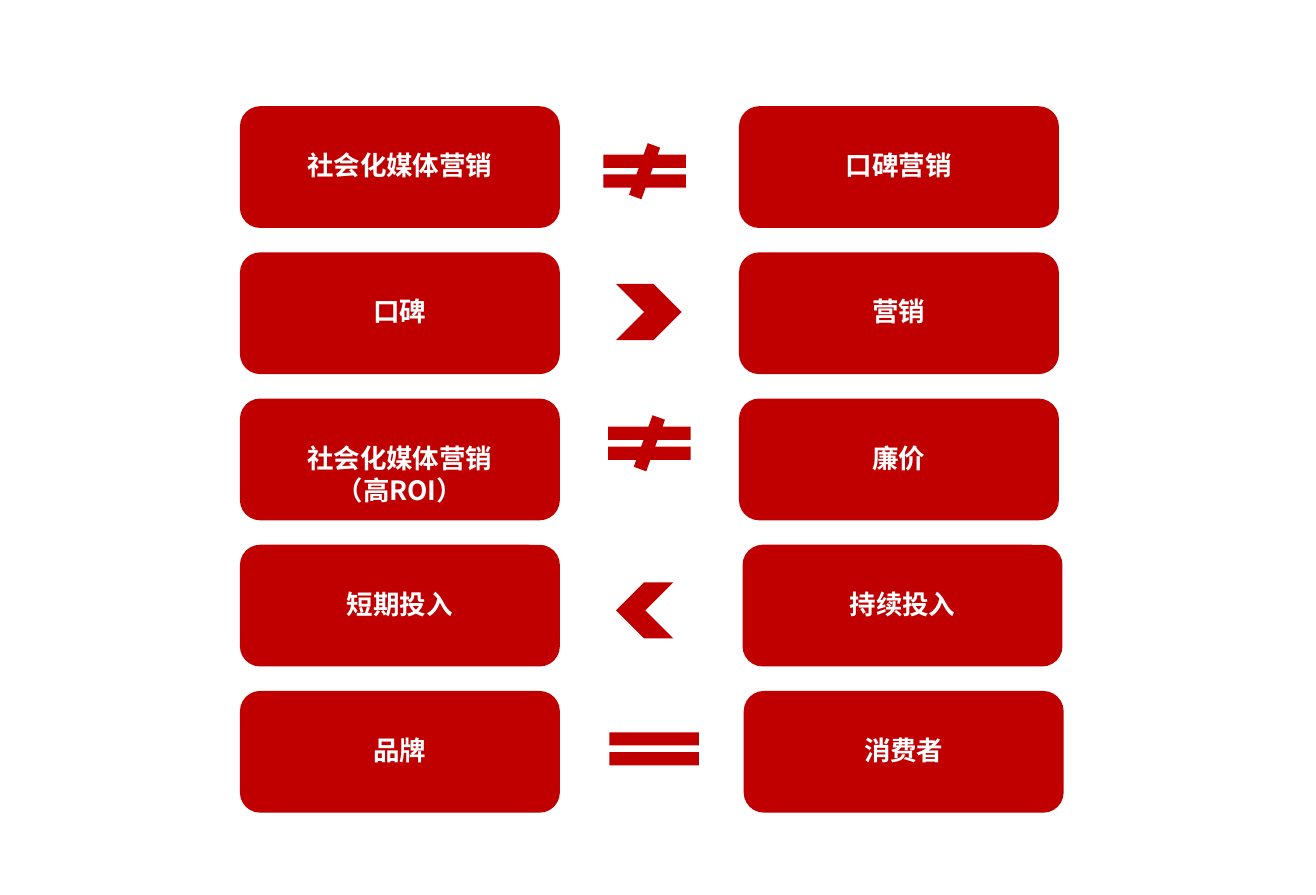
from lxml import etree
from pptx import Presentation
from pptx import util as u
from pptx.dml.color import RGBColor
from pptx.enum import shapes, text
from pptx.oxml.ns import qn


def colour(value):
    return RGBColor.from_string(value)


class ComparisonSlide:
    """Draws comparison boxes and the signs between them on one slide."""

    font_name = "Noto Sans CJK SC"
    red = "C00000"
    white = "FFFFFF"

    def __init__(self, slide):
        self.slide = slide

    def add_shape(self, kind, left, top, width, height):
        shape = self.slide.shapes.add_shape(
            kind, u.Inches(left), u.Inches(top), u.Inches(width), u.Inches(height)
        )
        shape.shadow.inherit = False
        shape.fill.solid()
        shape.fill.fore_color.rgb = colour(self.red)
        shape.line.fill.background()
        return shape

    def add_box(self, left, top, label):
        shape = self.add_shape(shapes.MSO_SHAPE.ROUNDED_RECTANGLE, left, top, 2.68, 1.02)
        frame = shape.text_frame
        frame.word_wrap = True
        frame.vertical_anchor = text.MSO_ANCHOR.TOP
        frame.margin_top = u.Inches(0.31)
        frame.text = label
        for paragraph in frame.paragraphs:
            self.format_paragraph(paragraph)

    def format_paragraph(self, paragraph):
        paragraph.alignment = text.PP_ALIGN.CENTER
        paragraph.line_spacing = u.Pt(19.3)
        font = paragraph.font
        font.size = u.Pt(16)
        font.bold = True
        font.color.rgb = colour(self.white)
        font.name = self.font_name
        properties = paragraph._p.pPr.find(qn("a:defRPr"))
        etree.SubElement(properties, qn("a:ea"), typeface=self.font_name)

    def add_sign(self, kind, left, top, width, rotation):
        shape = self.add_shape(kind, left, top, width, 0.47)
        shape.rotation = rotation


def main():
    presentation = Presentation()
    presentation.slide_width = u.Inches(28 / 2.54)
    presentation.slide_height = u.Inches(7.5)
    comparison = ComparisonSlide(
        presentation.slides.add_slide(presentation.slide_layouts[6])
    )

    not_equal = shapes.MSO_SHAPE.MATH_NOT_EQUAL
    equal = shapes.MSO_SHAPE.MATH_EQUAL
    chevron = shapes.MSO_SHAPE.CHEVRON
    rows = [
        ("社会化媒体营销", (not_equal, 4.93, 1.2, 0.94, 0), "口碑营销", 6.19),
        ("口碑", (chevron, 5.16, 2.38, 0.55, 0), "营销", 6.19),
        ("社会化媒体营销\n（高ROI）", (not_equal, 4.97, 3.48, 0.94, 0), "廉价", 6.19),
        ("短期投入", (chevron, 5.16, 4.88, 0.48, 180), "持续投入", 6.22),
        ("品牌", (equal, 4.97, 6.04, 1.02, 0), "消费者", 6.23),
    ]
    for index, (left_label, sign, right_label, right_position) in enumerate(rows):
        top = 0.89 + index * 1.225
        comparison.add_box(2.01, top, left_label)
        comparison.add_sign(*sign)
        comparison.add_box(right_position, top, right_label)

    presentation.save("out.pptx")


if __name__ == "__main__":
    main()
